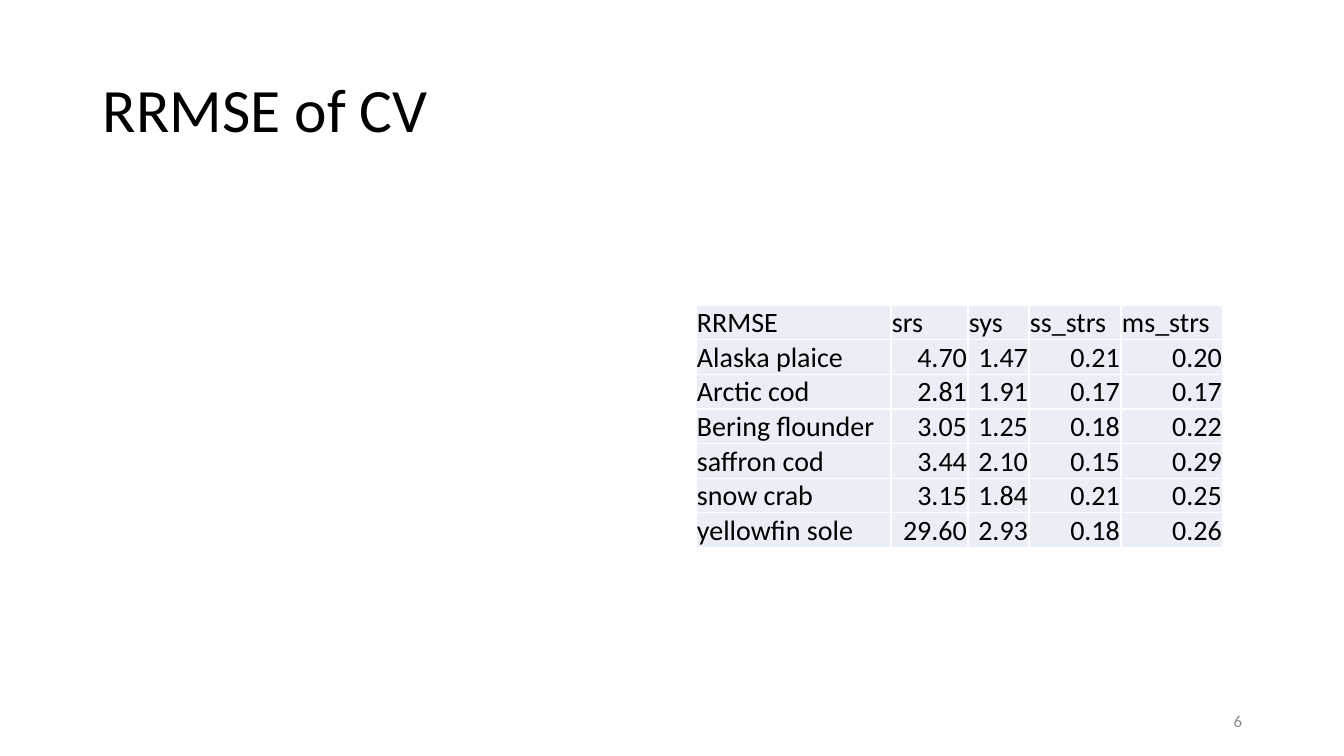
from dataclasses import dataclass

from lxml import etree
from pptx import Presentation
from pptx import util as u
from pptx.dml.color import RGBColor
from pptx.enum import text
from pptx.oxml import ns

EMU_PER_PIXEL = 914400 / 100.8


@dataclass(frozen=True)
class Theme:
    """Colours, font and type sizes of the slide."""
    font: str = "Calibri"
    ink: str = "000000"
    muted: str = "8C8C8C"
    cell: str = "EAEFF7"
    border: str = "FFFFFF"
    title_size: int = 44
    table_size: int = 20
    number_size: int = 12


THEME = Theme()

HEADER = ["RRMSE", "srs", "sys", "ss_strs", "ms_strs"]
SPECIES_ERRORS = [
    ["Alaska plaice", "4.70", "1.47", "0.21", "0.20"],
    ["Arctic cod", "2.81", "1.91", "0.17", "0.17"],
    ["Bering flounder", "3.05", "1.25", "0.18", "0.22"],
    ["saffron cod", "3.44", "2.10", "0.15", "0.29"],
    ["snow crab", "3.15", "1.84", "0.21", "0.25"],
    ["yellowfin sole", "29.60", "2.93", "0.18", "0.26"],
]
COLUMN_WIDTHS = [195, 77, 61, 92, 102]
ROW_HEIGHT = 34


def px(pixels):
    """Turn pixels into EMU."""
    return u.Emu(round(pixels * EMU_PER_PIXEL))


def apply(target, values):
    """Set each attribute of target from a dict."""
    for name, value in values.items():
        setattr(target, name, value)


def write(paragraph, words, size, colour, **formats):
    """Put one formatted run into a paragraph."""
    apply(paragraph, formats)
    run = paragraph.add_run()
    run.text = words
    apply(run.font, {"name": THEME.font, "size": u.Pt(size)})
    run.font.color.rgb = RGBColor.from_string(colour)


def add_label(slide, box, words, size, colour, **formats):
    """Add a vertically centred text box."""
    frame = slide.shapes.add_textbox(*map(px, box)).text_frame
    apply(frame, {"word_wrap": True,
                  "vertical_anchor": text.MSO_ANCHOR.MIDDLE})
    write(frame.paragraphs[0], words, size, colour, **formats)


def add_borders(cell):
    """Draw a thin line on the four sides of a cell."""
    properties = cell._tc.get_or_add_tcPr()
    for index, side in enumerate(("lnL", "lnR", "lnT", "lnB")):
        line = etree.Element(ns.qn(f"a:{side}"), w=str(u.Pt(1)))
        fill = etree.SubElement(line, ns.qn("a:solidFill"))
        etree.SubElement(fill, ns.qn("a:srgbClr"), val=THEME.border)
        properties.insert(index, line)


def format_cell(cell, words, alignment):
    """Fill, frame and write one table cell."""
    apply(cell, {"margin_left": px(1), "margin_right": px(1),
                 "margin_top": px(1), "margin_bottom": 0,
                 "vertical_anchor": text.MSO_ANCHOR.BOTTOM})
    cell.fill.solid()
    cell.fill.fore_color.rgb = RGBColor.from_string(THEME.cell)
    add_borders(cell)
    write(cell.text_frame.paragraphs[0], words, THEME.table_size, THEME.ink,
          alignment=alignment)


def add_error_table(slide, left, top):
    """Add the table of errors by species and survey design."""
    rows = [HEADER] + SPECIES_ERRORS
    table = slide.shapes.add_table(
        len(rows), len(HEADER), px(left), px(top),
        px(sum(COLUMN_WIDTHS)), px(ROW_HEIGHT * len(rows))).table
    apply(table, {"first_row": False, "horz_banding": False})
    for column, width in zip(table.columns, COLUMN_WIDTHS):
        column.width = px(width)
    for row_index, values in enumerate(rows):
        table.rows[row_index].height = px(ROW_HEIGHT)
        for column_index, words in enumerate(values):
            is_number = row_index > 0 and column_index > 0
            alignment = text.PP_ALIGN.RIGHT if is_number else text.PP_ALIGN.LEFT
            format_cell(table.cell(row_index, column_index), words, alignment)


def main():
    """Build and save the slide."""
    presentation = Presentation()
    apply(presentation, {"slide_width": px(1344), "slide_height": px(756)})
    slide = presentation.slides.add_slide(presentation.slide_layouts[6])
    add_label(slide, (93, 40, 1159, 146), "RRMSE of CV",
              THEME.title_size, THEME.ink, line_spacing=0.9)
    add_error_table(slide, 696, 305)
    add_label(slide, (950, 701, 302, 40), "6", THEME.number_size, THEME.muted,
              alignment=text.PP_ALIGN.RIGHT)
    presentation.save("out.pptx")


main()
